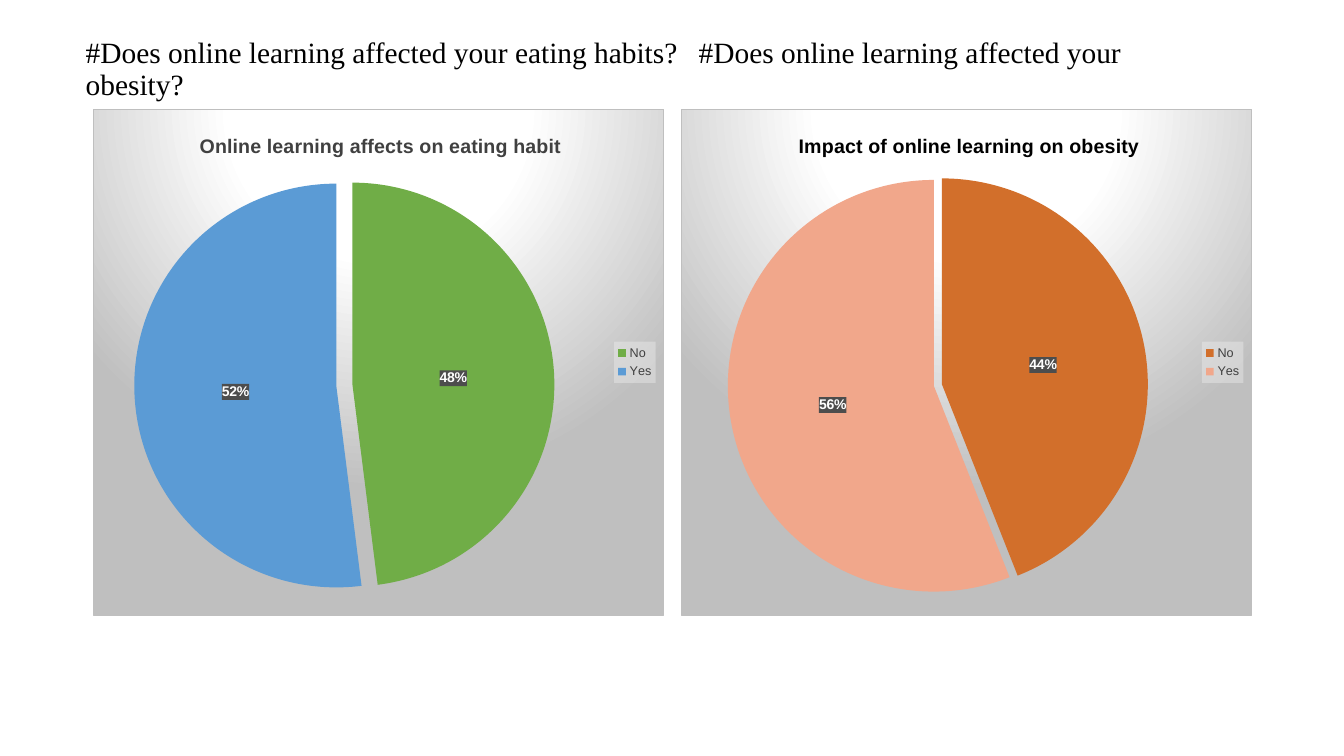
from lxml import etree
from pptx import Presentation
from pptx.chart.data import CategoryChartData
from pptx.dml.color import RGBColor
from pptx.enum.chart import XL_CHART_TYPE as ChartType
from pptx.enum.chart import XL_LABEL_POSITION as LabelPosition
from pptx.enum.chart import XL_LEGEND_POSITION as LegendPosition
from pptx.enum.text import MSO_ANCHOR as Anchor
from pptx.enum.text import PP_ALIGN as Align
from pptx.oxml import parse_xml
from pptx.oxml.ns import nsdecls, qn
from pptx.util import Inches, Pt

BLACK = RGBColor(0x00, 0x00, 0x00)
WHITE = RGBColor(0xFF, 0xFF, 0xFF)
DARK_GRAY = RGBColor(0x40, 0x40, 0x40)
LABEL_GRAY = RGBColor(0x4D, 0x4D, 0x4D)
LEGEND_GRAY = RGBColor(0xF2, 0xF2, 0xF2)
EDGE_GRAY = RGBColor(0xBF, 0xBF, 0xBF)
GREEN = RGBColor(0x70, 0xAD, 0x47)
BLUE = RGBColor(0x5B, 0x9B, 0xD5)
ORANGE = RGBColor(0xD2, 0x6F, 0x2B)
SALMON = RGBColor(0xF1, 0xA7, 0x8B)

QUESTIONS = (
    "#Does online learning affected your eating habits?",
    "#Does online learning affected your obesity?",
)
ANSWERS = ("No", "Yes")
PIES = (
    {"left": 0.92, "title": "Online learning affects on eating habit", "title_x": 0.18,
     "title_color": DARK_GRAY, "values": (48, 52), "colors": (GREEN, BLUE),
     "explosion": 4, "plot_x": 0.07},
    {"left": 6.75, "title": "Impact of online learning on obesity", "title_x": 0.2,
     "title_color": BLACK, "values": (44, 56), "colors": (ORANGE, SALMON),
     "explosion": 2, "plot_x": 0.08},
)


def set_font(font, color, **formats):
    for name, value in formats.items():
        setattr(font, name, value)
    font.color.rgb = color


def shape_properties(content):
    return parse_xml(f'<c:spPr {nsdecls("c", "a")}>{content}</c:spPr>')


def solid_fill(color, opacity=100):
    return (f'<a:solidFill><a:srgbClr val="{color}">'
            f'<a:alpha val="{opacity * 1000}"/></a:srgbClr></a:solidFill>')


def set_layout(element, index, **fractions):
    """Place a chart part by fractions of the chart's size."""
    for layout in element.findall(qn("c:layout")):
        element.remove(layout)
    modes = "".join(f'<c:{side}Mode val="edge"/>' for side in "xy")
    sizes = "".join(f'<c:{side} val="{value}"/>' for side, value in fractions.items())
    element.insert(index, parse_xml(
        f'<c:layout {nsdecls("c")}><c:manualLayout>{modes}{sizes}'
        "</c:manualLayout></c:layout>"))


def add_heading(page):
    box = page.shapes.title
    places = {"left": 0.75, "top": 0.28, "width": 11.5, "height": 0.83}
    for name, value in places.items():
        setattr(box, name, Inches(value))
    frame = box.text_frame
    frame.word_wrap = True
    frame.vertical_anchor = Anchor.MIDDLE
    para = frame.paragraphs[0]
    para.alignment = Align.LEFT
    para.line_spacing = 0.9
    span = para.add_run()
    span.text = "\t".join(QUESTIONS)
    set_font(span.font, BLACK, name="Times New Roman", size=Pt(21))
    tabs = etree.SubElement(para._p.get_or_add_pPr(), qn("a:tabLst"))
    etree.SubElement(tabs, qn("a:tab"), pos=str(Inches(6.08)), algn="l")


def fill_background(chart):
    stops = "".join(
        f'<a:gs pos="{position * 1000}"><a:srgbClr val="{color}"/></a:gs>'
        for position, color in ((0, WHITE), (39, WHITE), (100, EDGE_GRAY)))
    chart._chartSpace.find(qn("c:chart")).addnext(shape_properties(
        f'<a:gradFill><a:gsLst>{stops}</a:gsLst><a:path path="circle">'
        '<a:fillToRect l="50000" t="-80000" r="50000" b="180000"/></a:path></a:gradFill>'
        f'<a:ln w="{Pt(0.75)}">{solid_fill(EDGE_GRAY)}</a:ln>'))


def format_title(chart, pie):
    chart.has_title = True
    para = chart.chart_title.text_frame.paragraphs[0]
    span = para.add_run()
    span.text = pie["title"]
    set_font(span.font, pie["title_color"], name="Arial", size=Pt(14), bold=True)
    set_layout(chart.chart_title._element, 1, x=pie["title_x"], y=0.04)


def format_legend(chart):
    chart.has_legend = True
    legend = chart.legend
    legend.position = LegendPosition.RIGHT
    legend.include_in_layout = False
    set_font(legend.font, DARK_GRAY, name="Arial", size=Pt(9))
    legend._element.find(qn("c:txPr")).addprevious(
        shape_properties(solid_fill(LEGEND_GRAY, 39)))


def format_slices(chart, pie):
    plot = chart.plots[0]
    plot.vary_by_categories = True
    series = plot.series[0]
    for index, color in enumerate(pie["colors"]):
        fill = series.points[index].format.fill
        fill.solid()
        fill.fore_color.rgb = color
    series._element.find(qn("c:dPt")).addprevious(
        parse_xml(f'<c:explosion {nsdecls("c")} val="{pie["explosion"]}"/>'))

    labels = series.data_labels
    formats = {"show_percentage": True, "show_value": False, "number_format": "0%",
               "number_format_is_linked": False, "position": LabelPosition.CENTER}
    for name, value in formats.items():
        setattr(labels, name, value)
    set_font(labels.font, WHITE, name="Arial", size=Pt(10), bold=True)
    labels._element.find(qn("c:txPr")).addprevious(
        shape_properties(solid_fill(LABEL_GRAY)))


def add_pie(page, pie):
    data = CategoryChartData()
    data.categories = ANSWERS
    data.add_series("Series 1", pie["values"])
    chart = page.shapes.add_chart(
        ChartType.PIE, Inches(pie["left"]), Inches(1.08),
        Inches(5.67), Inches(5.03), data).chart
    set_font(chart.font, BLACK, name="Arial", size=Pt(10))
    fill_background(chart)
    format_title(chart, pie)
    format_legend(chart)
    format_slices(chart, pie)
    plot_area = chart._chartSpace.find(qn("c:chart")).find(qn("c:plotArea"))
    set_layout(plot_area, 0, x=pie["plot_x"], y=0.13, w=0.74, h=0.83)


def main():
    deck = Presentation()
    deck.slide_width = Inches(13.33)
    deck.slide_height = Inches(7.5)
    page = deck.slides.add_slide(deck.slide_layouts[5])
    add_heading(page)
    for pie in PIES:
        add_pie(page, pie)
    deck.save("out.pptx")


if __name__ == "__main__":
    main()
